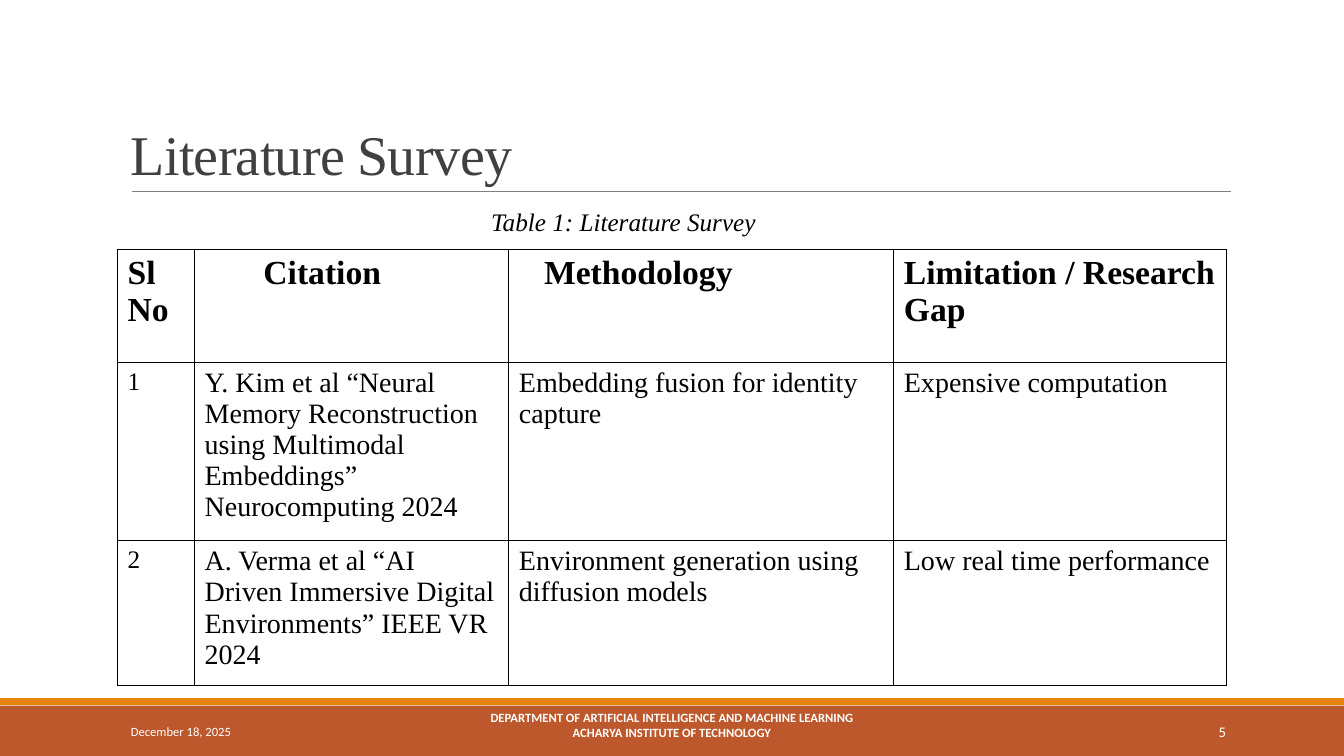
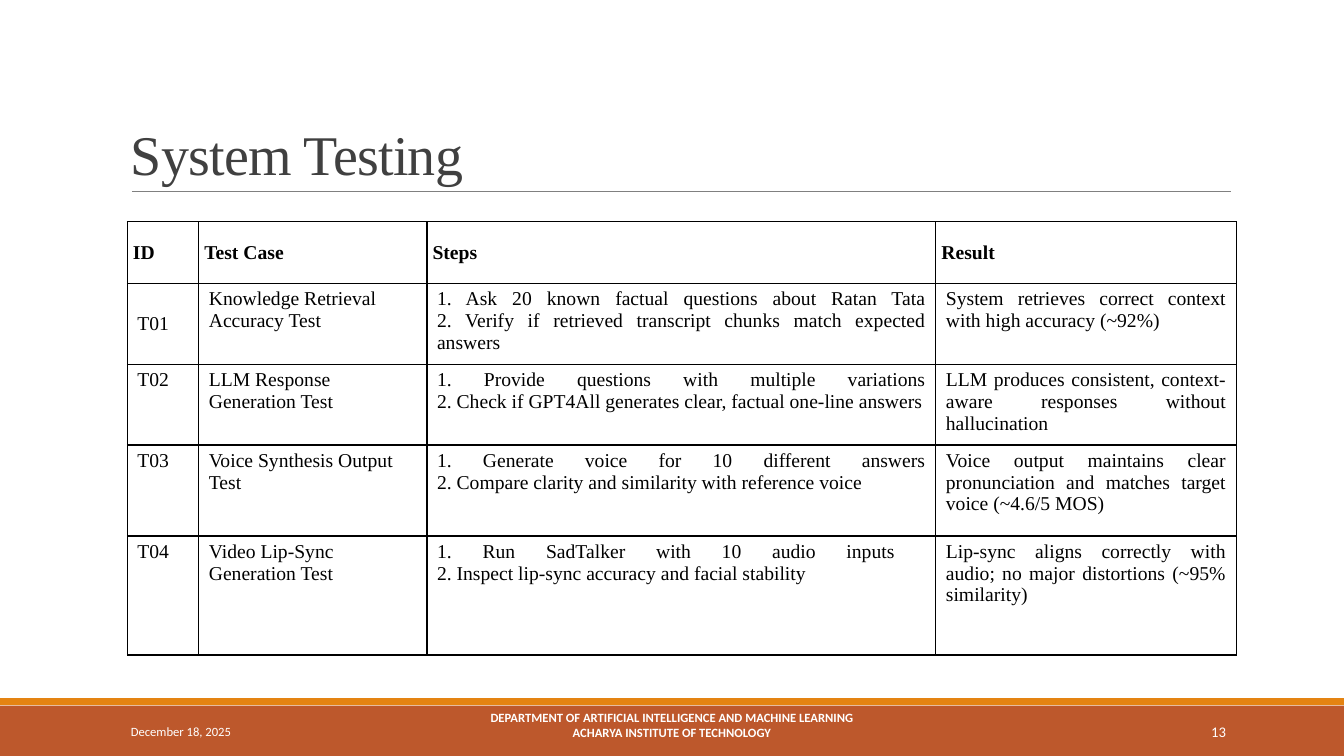
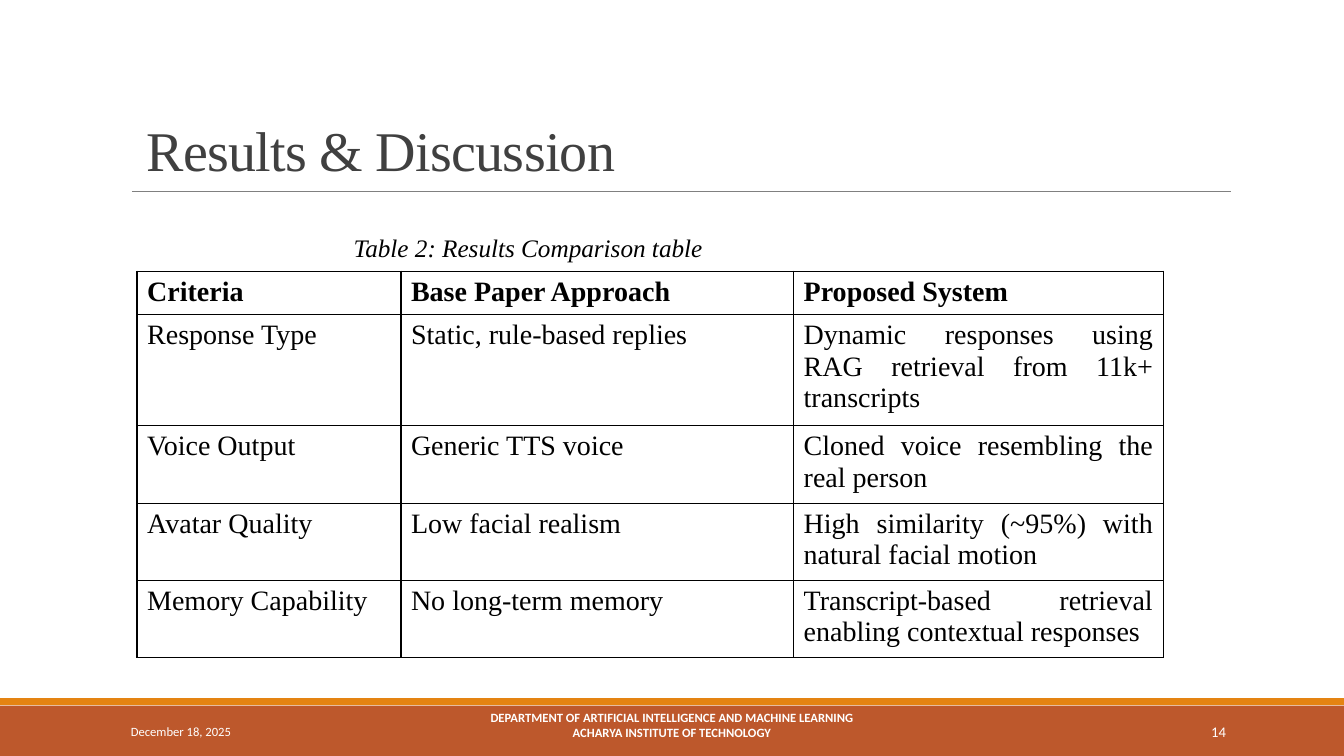
from typing import NamedTuple

from lxml.etree import SubElement
from pptx import Presentation
from pptx.dml.color import RGBColor
from pptx.enum.shapes import MSO_CONNECTOR, MSO_SHAPE
from pptx.enum.text import MSO_ANCHOR, PP_ALIGN
from pptx.oxml import parse_xml
from pptx.oxml.ns import nsdecls, qn
from pptx.util import Pt

RUST = RGBColor(0xBD, 0x58, 0x2C)
ORANGE = RGBColor(0xE4, 0x83, 0x12)
GRAY = RGBColor(0x80, 0x80, 0x80)
CHARCOAL = RGBColor(0x40, 0x40, 0x40)
BLACK = RGBColor(0x00, 0x00, 0x00)
WHITE = RGBColor(0xFF, 0xFF, 0xFF)

SERIF = "Times New Roman"
SANS = "Calibri"
PAGE_WIDTH = 960
PAGE_HEIGHT = 540
DATE = "December 18, 2025"
DEPARTMENT = (
    "DEPARTMENT OF ARTIFICIAL INTELLIGENCE AND MACHINE LEARNING\n"
    "ACHARYA INSTITUTE OF TECHNOLOGY"
)


class Column(NamedTuple):
    width: float
    size: float
    align: PP_ALIGN = PP_ALIGN.LEFT


class ReportDeck:
    """Holds the report style and the slide being built."""

    def __init__(self):
        self.deck = Presentation()
        self.deck.slide_width = Pt(PAGE_WIDTH)
        self.deck.slide_height = Pt(PAGE_HEIGHT)
        self.page = None

    def start_page(self, title, number, title_left=86.4, title_bottom=136.8):
        self.page = self.deck.slides.add_slide(self.deck.slide_layouts[6])
        self.band(504, 36, RUST)
        self.band(498.7, 5, ORANGE)
        self.rule(94.3, 879, 136.6)
        self.title(title, title_left, title_bottom)
        self.footer(DATE, 86.4, 508.3, 194.4, 9)
        self.footer(DEPARTMENT, 290, 503.6, 379.6, 9, PP_ALIGN.CENTER, True)
        self.footer(str(number), 779.8, 508.3, 103, 10.5, PP_ALIGN.RIGHT)

    def band(self, top, height, color):
        shape = self.page.shapes.add_shape(
            MSO_SHAPE.RECTANGLE, 0, Pt(top), Pt(PAGE_WIDTH), Pt(height)
        )
        shape.shadow.inherit = False
        shape.fill.solid()
        shape.fill.fore_color.rgb = color
        shape.line.fill.background()

    def rule(self, left, right, top):
        line = self.page.shapes.add_connector(
            MSO_CONNECTOR.STRAIGHT, Pt(left), Pt(top), Pt(right), Pt(top)
        )
        line.line.color.rgb = GRAY
        line.line.width = Pt(0.5)
        SubElement(line._element.spPr, qn("a:effectLst"))

    def set_text(self, frame, text, size, font=SERIF, color=BLACK,
                 align=PP_ALIGN.LEFT, bold=False, italic=False):
        paragraph = frame.paragraphs[0]
        paragraph.text = text
        paragraph.alignment = align
        for span in paragraph.runs:
            span.font.name = font
            span.font.size = Pt(size)
            span.font.color.rgb = color
            span.font.bold = bold
            span.font.italic = italic

    def text_frame(self, left, top, width, height, anchor):
        box = self.page.shapes.add_textbox(Pt(left), Pt(top), Pt(width), Pt(height))
        frame = box.text_frame
        frame.word_wrap = True
        frame.vertical_anchor = anchor
        return frame

    def title(self, text, left, bottom):
        height = 66
        frame = self.text_frame(left, bottom - height, 792, height, MSO_ANCHOR.BOTTOM)
        self.set_text(frame, text, 40, color=CHARCOAL)
        paragraph = frame.paragraphs[0]
        paragraph.line_spacing = 0.85
        paragraph.runs[0].font._element.set("spc", "-50")

    def footer(self, text, left, top, width, size, align=PP_ALIGN.LEFT, bold=False):
        frame = self.text_frame(left, top, width, 28.8, MSO_ANCHOR.MIDDLE)
        self.set_text(frame, text, size, SANS, WHITE, align, bold)

    def caption(self, text, left, top, width, align=PP_ALIGN.LEFT):
        frame = self.text_frame(left, top, width, 29, MSO_ANCHOR.TOP)
        self.set_text(frame, text, 18, align=align, italic=True)

    def border(self, cell):
        properties = cell._tc.get_or_add_tcPr()
        for index, side in enumerate(("lnL", "lnR", "lnT", "lnB")):
            properties.insert(index, parse_xml(
                f'<a:{side} {nsdecls("a")} w="{Pt(1)}"><a:solidFill>'
                f'<a:srgbClr val="{BLACK}"/></a:solidFill></a:{side}>'
            ))

    def table(self, left, top, columns, heights, rows, header_size):
        width = sum(column.width for column in columns)
        table = self.page.shapes.add_table(
            len(rows), len(columns), Pt(left), Pt(top), Pt(width), Pt(sum(heights))
        ).table
        table.first_row = False
        table.horz_banding = False
        for index, column in enumerate(columns):
            table.columns[index].width = Pt(column.width)
        for row_index, (height, texts) in enumerate(zip(heights, rows)):
            table.rows[row_index].height = Pt(height)
            is_header = row_index == 0
            for column_index, (column, text) in enumerate(zip(columns, texts)):
                cell = table.cell(row_index, column_index)
                cell.fill.solid()
                cell.fill.fore_color.rgb = WHITE
                self.border(cell)
                size = header_size if is_header else column.size
                self.set_text(cell.text_frame, text, size,
                              align=column.align, bold=is_header)
        return table


def add_literature(report):
    report.start_page("Literature Survey", 5)
    columns = [Column(55, 18), Column(224.5, 20), Column(275, 20), Column(237.5, 20)]
    rows = [
        ("Sl No", "Citation", "Methodology", "Limitation / Research Gap"),
        ("1",
         "Y. Kim et al “Neural Memory Reconstruction using Multimodal "
         "Embeddings” Neurocomputing 2024",
         "Embedding fusion for identity capture",
         "Expensive computation"),
        ("2",
         "A. Verma et al “AI Driven Immersive Digital Environments” IEEE VR 2024",
         "Environment generation using diffusion models",
         "Low real time performance"),
    ]
    table = report.table(84, 178.4, columns, [80.6, 118, 96.4], rows, 24)
    table.cell(0, 1).margin_left = Pt(49.2)
    table.cell(0, 2).margin_left = Pt(25.2)
    report.caption("Table 1: Literature Survey", 220.3, 144, 450, PP_ALIGN.CENTER)


def add_testing(report):
    report.start_page("System Testing", 13)
    justify = PP_ALIGN.JUSTIFY
    columns = [Column(51, 14, justify), Column(163, 14),
               Column(363.5, 14, justify), Column(214.5, 14, justify)]
    rows = [
        ("ID", "Test Case", "Steps", "Result"),
        ("T01", "Knowledge Retrieval Accuracy Test",
         "1. Ask 20 known factual questions about Ratan Tata\n"
         "2. Verify if retrieved transcript chunks match expected answers",
         "System retrieves correct context with high accuracy (~92%)"),
        ("T02", "LLM Response Generation Test",
         "1. Provide questions with multiple variations\n"
         "2. Check if GPT4All generates clear, factual one-line answers",
         "LLM produces consistent, context-aware responses without hallucination"),
        ("T03", "Voice Synthesis Output Test",
         "1. Generate voice for 10 different answers\n"
         "2. Compare clarity and similarity with reference voice",
         "Voice output maintains clear pronunciation and matches target voice "
         "(~4.6/5 MOS)"),
        ("T04", "Video Lip-Sync Generation Test",
         "1. Run SadTalker with 10 audio inputs \n"
         "2. Inspect lip-sync accuracy and facial stability",
         "Lip-sync aligns correctly with audio; no major distortions "
         "(~95% similarity)"),
    ]
    table = report.table(91, 158.4, columns, [44, 57.8, 56, 65, 85], rows, 14)
    for cell in table.rows[0].cells:
        cell.vertical_anchor = MSO_ANCHOR.MIDDLE
        cell.margin_left = cell.margin_right = Pt(4)
        cell.margin_top = cell.margin_bottom = Pt(2)
    table.cell(1, 0).vertical_anchor = MSO_ANCHOR.MIDDLE


def add_results(report):
    report.start_page("Results & Discussion", 14, 97.9, 134.6)
    columns = [Column(width, 20, PP_ALIGN.JUSTIFY) for width in (188.5, 280.5, 264)]
    rows = [
        ("Criteria", "Base Paper Approach", "Proposed System"),
        ("Response Type", "Static, rule-based replies",
         "Dynamic responses using RAG retrieval from 11k+ transcripts"),
        ("Voice Output", "Generic TTS voice",
         "Cloned voice resembling the real person"),
        ("Avatar Quality", "Low facial realism",
         "High similarity (~95%) with natural facial motion"),
        ("Memory Capability", "No long-term memory",
         "Transcript-based retrieval enabling contextual responses"),
    ]
    report.table(97.9, 193.7, columns, [29.4, 74] + [51.5] * 3, rows, 20)
    report.caption("Table 2: Results Comparison table", 245.5, 162.7, 572.4)


def main():
    report = ReportDeck()
    add_literature(report)
    add_testing(report)
    add_results(report)
    report.deck.save("out.pptx")


if __name__ == "__main__":
    main()
